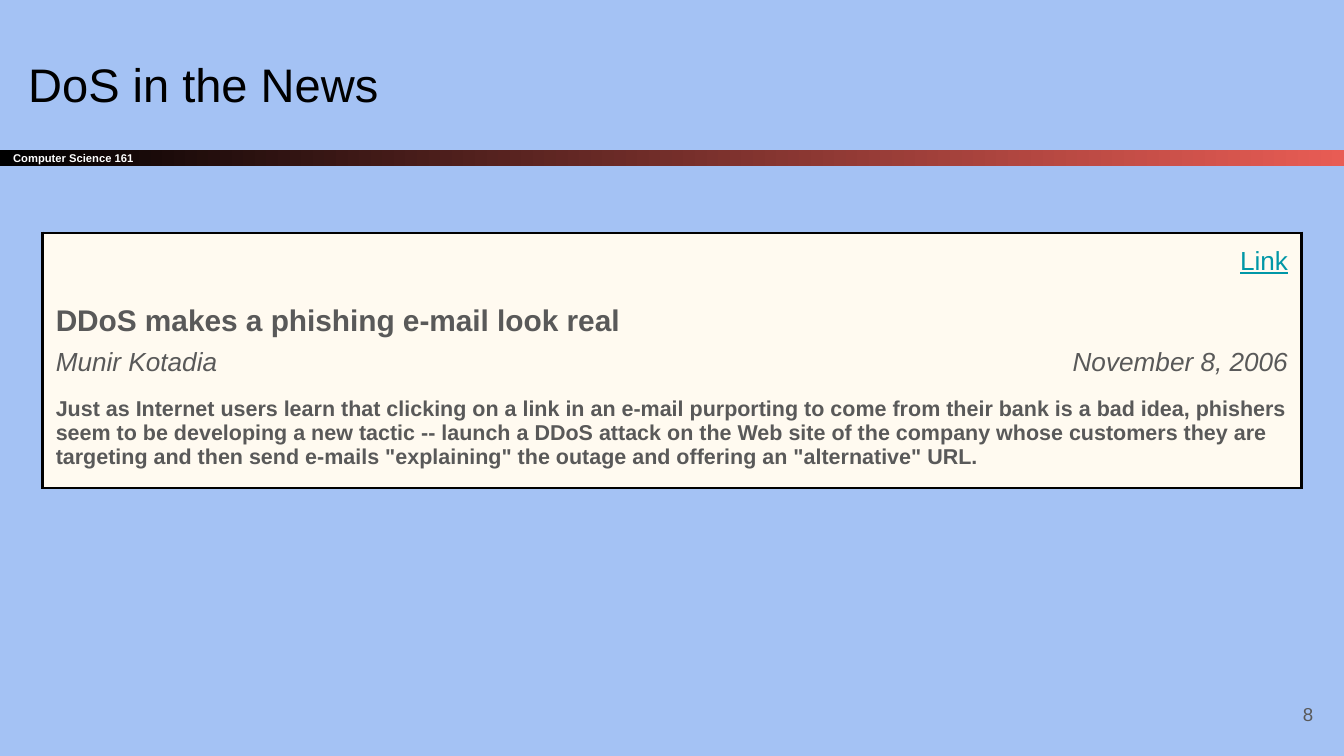
import lxml.etree
import pptx
import pptx.dml.color
import pptx.enum.shapes
import pptx.enum.text
import pptx.oxml.ns
import pptx.util

RGBColor = pptx.dml.color.RGBColor
ALIGN = pptx.enum.text.PP_ALIGN
ANCHOR = pptx.enum.text.MSO_ANCHOR
Inches = pptx.util.Inches
Pt = pptx.util.Pt

SKY = RGBColor(0xA4, 0xC2, 0xF4)
CREAM = RGBColor(0xFF, 0xFA, 0xF0)
BLACK = RGBColor(0, 0, 0)
CORAL = RGBColor(0xE8, 0x5C, 0x54)
WHITE = RGBColor(0xFF, 0xFF, 0xFF)
GRAY = RGBColor(0x59, 0x59, 0x59)
TEAL = RGBColor(0x00, 0x97, 0xA7)

WIDTH = Inches(10)
HEIGHT = WIDTH * 9 // 16
PADDING = Inches(0.1)
TIGHT = Inches(0.03)
SUMMARY = (
    "Just as Internet users learn that clicking on a link in an e-mail purporting "
    "to come from their bank is a bad idea, phishers seem to be developing a new "
    "tactic -- launch a DDoS attack on the Web site of the company whose customers "
    "they are targeting and then send e-mails \"explaining\" the outage and "
    "offering an \"alternative\" URL."
)


def share(left, top, width, height):
    """Turn percentages of the slide into a box of lengths."""
    return (int(WIDTH * left / 100), int(HEIGHT * top / 100),
            int(WIDTH * width / 100), int(HEIGHT * height / 100))


def place(shape, box):
    """Move and size a shape to fill a box."""
    for name, value in zip(("left", "top", "width", "height"), box):
        setattr(shape, name, value)


def write(frame, text, size, color, align=ALIGN.LEFT, **formats):
    """Write one formatted paragraph in a text frame."""
    paragraph = frame.paragraphs[0]
    paragraph.alignment = align
    run = paragraph.add_run()
    run.text = text
    run.font.color.rgb = color
    for name, value in {"name": "Arial", "size": Pt(size), **formats}.items():
        setattr(run.font, name, value)


def set_margins(holder, vertical=PADDING):
    """Set the inner margins of a text frame or table cell."""
    margins = {"margin_left": PADDING, "margin_right": PADDING,
               "margin_top": vertical, "margin_bottom": vertical}
    for name, value in margins.items():
        setattr(holder, name, value)


def prepare_frame(shape, anchor):
    """Give a shape's text frame its wrapping, anchor and margins."""
    frame = shape.text_frame
    frame.word_wrap = True
    frame.vertical_anchor = anchor
    set_margins(frame)
    return frame


def add_title(slide, box):
    """Place the slide title."""
    place(slide.shapes.title, box)
    frame = prepare_frame(slide.shapes.title, ANCHOR.BOTTOM)
    write(frame, "DoS in the News", 25.2, BLACK)


def add_course_bar(slide, box):
    """Draw the gradient bar that names the course."""
    bar = slide.shapes.add_shape(pptx.enum.shapes.MSO_SHAPE.RECTANGLE, *box)
    bar.shadow.inherit = False
    bar.line.fill.background()
    bar.fill.gradient()
    bar.fill.gradient_angle = 0
    for stop, color, position in zip(bar.fill.gradient_stops, (BLACK, CORAL), (0, 1)):
        stop.color.rgb = color
        stop.position = position
    frame = prepare_frame(bar, ANCHOR.MIDDLE)
    write(frame, "Computer Science 161", 6, WHITE, bold=True)


def add_page_number(slide, box):
    """Place the page number."""
    frame = prepare_frame(slide.shapes.add_textbox(*box), ANCHOR.MIDDLE)
    write(frame, "8", 10, GRAY, ALIGN.RIGHT)


def set_borders(cell, outer):
    """Draw the outer edges of a cell and clear the others."""
    properties = cell._tc.get_or_add_tcPr()
    qn = pptx.oxml.ns.qn
    for index, side in enumerate("LRTB"):
        line = lxml.etree.Element(qn(f"a:ln{side}"), w=str(Pt(1.5)))
        if side in outer:
            fill = lxml.etree.SubElement(line, qn("a:solidFill"))
            lxml.etree.SubElement(fill, qn("a:srgbClr"), val=str(BLACK))
        else:
            lxml.etree.SubElement(line, qn("a:noFill"))
        properties.insert(index, line)


def add_article(slide, box):
    """Build the framed news article as a table."""
    entries = {
        (0, 1): ("Link", 14, TEAL, ALIGN.RIGHT, {"underline": True}),
        (1, 0): ("DDoS makes a phishing e-mail look real", 16, GRAY,
                 ALIGN.LEFT, {"bold": True}),
        (2, 0): ("Munir Kotadia", 14, GRAY, ALIGN.LEFT, {"italic": True}),
        (2, 1): ("November 8, 2006", 14, GRAY, ALIGN.RIGHT, {"italic": True}),
        (3, 0): (SUMMARY, 11.5, GRAY, ALIGN.LEFT, {"bold": True}),
    }
    merged_rows = (1, 3)
    row_margins = (PADDING, TIGHT, TIGHT, PADDING)
    table = slide.shapes.add_table(4, 2, *box).table
    table.first_row = table.horz_banding = False
    for row, portion in zip(table.rows, (0.25, 0.17, 0.16, 0.42)):
        row.height = int(box[3] * portion)
    for row in merged_rows:
        table.cell(row, 0).merge(table.cell(row, 1))
    for row, margin in enumerate(row_margins):
        for column in range(2):
            cell = table.cell(row, column)
            cell.fill.solid()
            cell.fill.fore_color.rgb = CREAM
            set_margins(cell, margin)
            edges = {"L": column == 0, "R": column == 1 or row in merged_rows,
                     "T": row == 0, "B": row == 3}
            set_borders(cell, [side for side, drawn in edges.items() if drawn])
            if (row, column) in entries:
                text, size, color, align, formats = entries[row, column]
                write(cell.text_frame, text, size, color, align, **formats)


def main():
    """Build the slide and save it."""
    presentation = pptx.Presentation()
    presentation.slide_width, presentation.slide_height = WIDTH, HEIGHT
    slide = presentation.slides.add_slide(presentation.slide_layouts[5])
    slide.background.fill.solid()
    slide.background.fill.fore_color.rgb = SKY
    add_course_bar(slide, share(0, 19.8, 100, 2.13))
    add_title(slide, share(1.1, 5.33, 93.2, 11.2))
    add_page_number(slide, share(92.7, 90.6, 6, 7.64))
    add_article(slide, share(3.15, 30.8, 93.7, 28.3))
    presentation.save("out.pptx")


if __name__ == "__main__":
    main()
